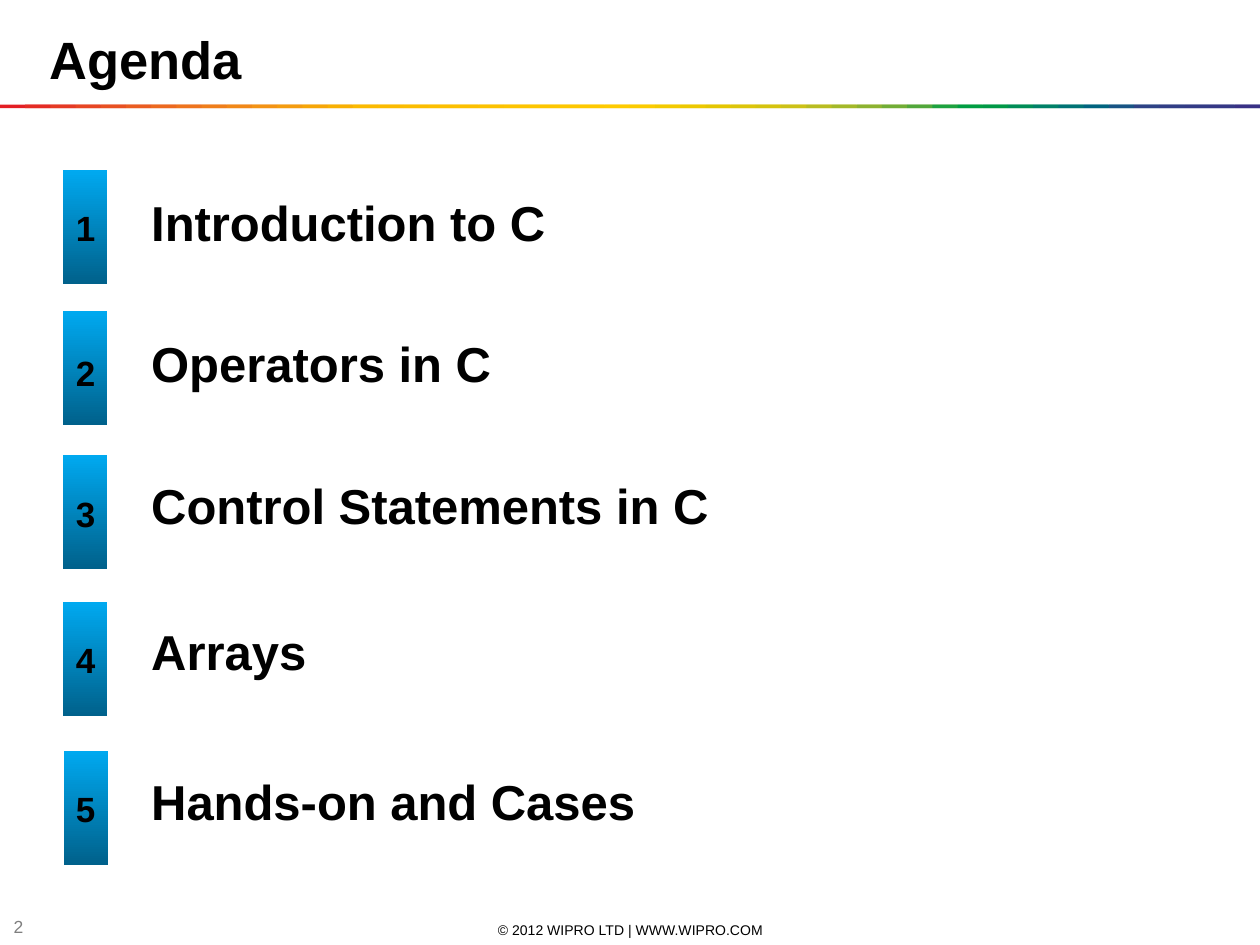
from copy import deepcopy
from dataclasses import dataclass

from lxml import etree
from pptx import Presentation
from pptx import util as u
from pptx.dml.color import RGBColor
from pptx.enum import shapes, text
from pptx.oxml.ns import qn

COLS, ROWS = 100, 75
CELL = u.Inches(0.1)
FONT = "Arial"
COLORS = {"ink": "000000", "muted": "7F7F7F", "bar_low": "00618B", "bar_high": "00A9F0"}
RAINBOW = """
E31E24 E42C24 E53A24 E74623 E85122 EA5D21 EC691F EE741D EF7E1A F18817
F39314 F49C0F F6A607 F8B002 FBBA00 FBBB00 FBBD00 FCBF00 FCC000 FCC200
FDC400 FDC600 FDC700 FEC900 FECB00 FBCB00 F3CA00 ECC800 E4C602 DCC50A
D5C30E CCC117 B8BC21 A3B829 8CB230 71AD36 51A73B 1DA240 009D43 009846
008C57 008068 007275 00637F 185384 2E4285 313E85 333B85 353885 393185
""".split()


@dataclass
class Box:
    col: float
    row: float
    cols: float
    rows: float

    def emu(self) -> list[int]:
        return [round(v * CELL) for v in (self.col, self.row, self.cols, self.rows)]


@dataclass
class Topic:
    label: str
    bar_row: float
    number_row: float
    label_row: float
    bar_col: float = 5


TOPICS = [
    Topic("Introduction to C", 13.5, 15.9, 14.8),
    Topic("Operators in C", 24.7, 27.4, 26),
    Topic("Control Statements in C", 36.1, 38.6, 37.2),
    Topic("Arrays", 47.8, 50.2, 48.8),
    Topic("Hands-on and Cases", 59.6, 62, 60.7, 5.1),
]


def write(sp, words: str, size: float, color: str = "ink", bold: bool = False,
          align=text.PP_ALIGN.LEFT, anchor=text.MSO_ANCHOR.TOP, wrap: bool = True) -> None:
    tf = sp.text_frame
    tf.auto_size = text.MSO_AUTO_SIZE.NONE
    tf.word_wrap = wrap
    tf.vertical_anchor = anchor
    p = tf.paragraphs[0]
    p.alignment = align
    p.space_before = u.Pt(0)
    r = p.add_run()
    r.text = words
    r.font.name, r.font.size, r.font.bold = FONT, u.Pt(size), bold
    r.font.color.rgb = RGBColor.from_string(COLORS[color])


def place(sp, box: Box) -> None:
    sp.left, sp.top, sp.width, sp.height = box.emu()


def add_rect(s, box: Box):
    sp = s.shapes.add_shape(shapes.MSO_SHAPE.RECTANGLE, *box.emu())
    sp.shadow.inherit = False
    sp.line.fill.background()
    return sp


def add_rainbow(s) -> None:
    step = COLS / len(RAINBOW)
    for i, color in enumerate(RAINBOW):
        left = i * step
        sp = add_rect(s, Box(left, 8.3, min(2 * step, COLS - left), 0.3))
        sp.fill.solid()
        sp.fill.fore_color.rgb = RGBColor.from_string(color)


def add_labels(s) -> None:
    body = s.placeholders[1]
    pPr = body.text_frame.paragraphs[0]._p.get_or_add_pPr()
    pPr.set("marL", "0")
    pPr.set("indent", "0")
    etree.SubElement(pPr, qn("a:buNone"))
    labels = [body]
    for _ in TOPICS[1:]:
        el = deepcopy(body._element)
        el.xpath(".//p:cNvPr")[0].set("id", str(len(s.shapes) + 2))
        s.shapes._spTree.append(el)
        labels.append(s.shapes[-1])
    for sp, topic in zip(labels, TOPICS):
        place(sp, Box(11, topic.label_row, 76.7, 7.1))
        write(sp, topic.label, 28, bold=True)


def add_number(s, number: int, topic: Topic) -> None:
    sp = add_rect(s, Box(topic.bar_col, topic.bar_row, 3.5, 9.05))
    sp.fill.gradient()
    sp.fill.gradient_angle = 90
    for stop, color in zip(sp.fill.gradient_stops, ("bar_low", "bar_high")):
        stop.color.rgb = RGBColor.from_string(COLORS[color])
    sp = s.shapes.add_textbox(*Box(5.1, topic.number_row, 3.4, 2).emu())
    write(sp, str(number), 20, bold=True, align=text.PP_ALIGN.CENTER, wrap=False)


def main() -> None:
    prs = Presentation()
    prs.slide_width, prs.slide_height = COLS * CELL, ROWS * CELL
    s = prs.slides.add_slide(prs.slide_layouts[1])
    place(s.shapes.title, Box(2.9, 1.6, 91.7, 6.1))
    write(s.shapes.title, "Agenda", 30, bold=True, anchor=text.MSO_ANCHOR.MIDDLE)
    add_labels(s)
    add_rainbow(s)
    for number, topic in enumerate(TOPICS, 1):
        add_number(s, number, topic)
    sp = s.shapes.add_textbox(*Box(34.2, 73, 31.7, 1.6).emu())
    write(sp, "© 2012 WIPRO LTD | WWW.WIPRO.COM", 8,
          align=text.PP_ALIGN.CENTER, anchor=text.MSO_ANCHOR.MIDDLE)
    sp = s.shapes.add_textbox(*Box(0.1, 72.7, 3.9, 1.6).emu())
    write(sp, "2", 10, "muted", anchor=text.MSO_ANCHOR.MIDDLE)
    prs.save("out.pptx")


if __name__ == "__main__":
    main()
